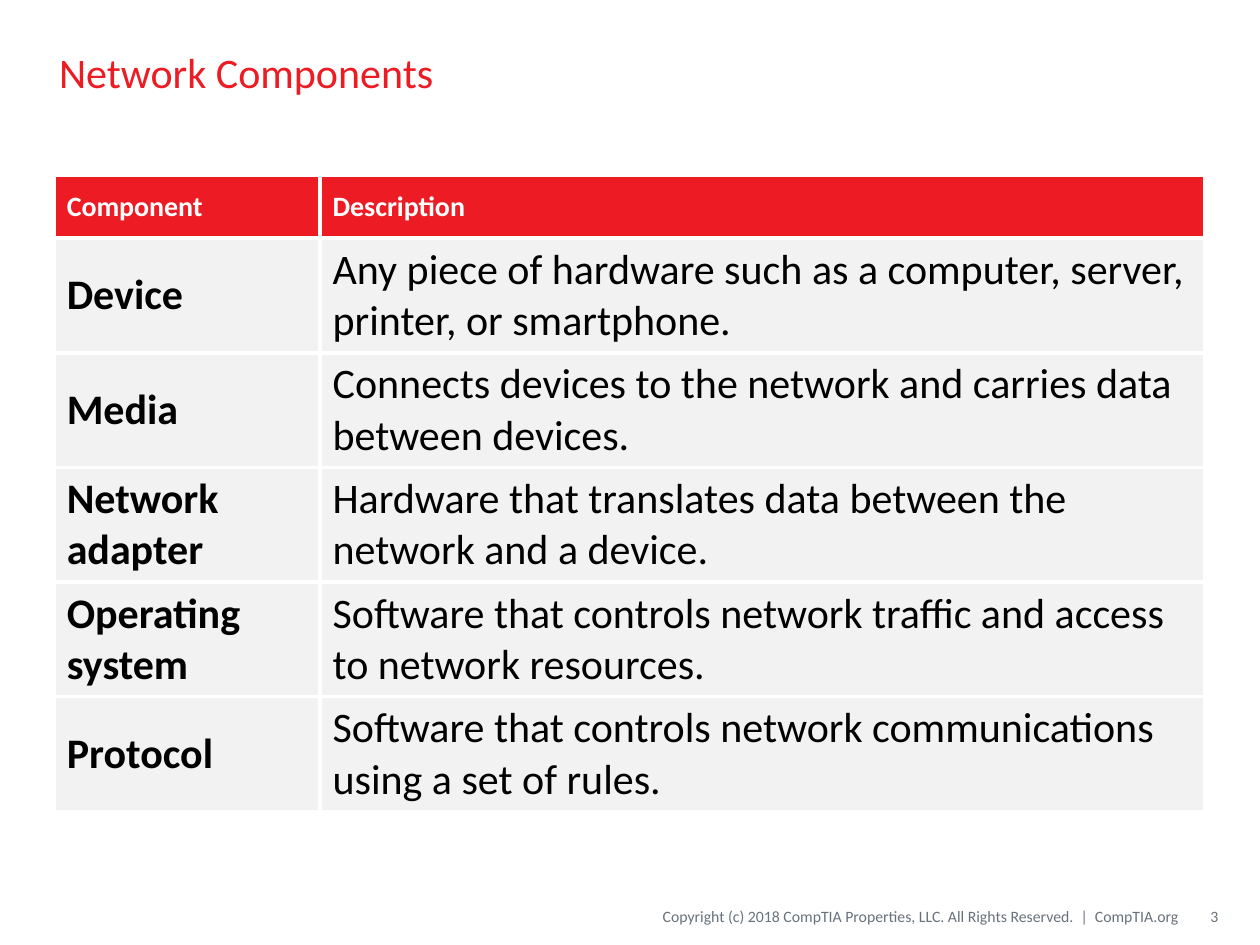
"""Build the Network Components slide with its table of definitions."""
from lxml.etree import SubElement
from pptx import Presentation
from pptx.dml.color import RGBColor
from pptx.enum.text import MSO_ANCHOR as Anchor, PP_ALIGN as Align
from pptx.oxml.ns import qn
from pptx.util import Inches, Pt

RED = RGBColor(0xED, 0x1C, 0x24)
WHITE = RGBColor(0xFF, 0xFF, 0xFF)
BLACK = RGBColor(0x00, 0x00, 0x00)
PALE_GRAY = RGBColor(0xF2, 0xF2, 0xF2)
SLATE = RGBColor(0x69, 0x72, 0x7B)


def style(paragraph, size, color, bold=False):
    paragraph.font.name = "Calibri"
    paragraph.font.size = Pt(size)
    paragraph.font.color.rgb = color
    paragraph.font.bold = bold


def add_border(cell, color, width):
    properties = cell._tc.get_or_add_tcPr()
    for index, side in enumerate(("a:lnL", "a:lnR", "a:lnT", "a:lnB")):
        line = properties.makeelement(qn(side), {"w": str(Pt(width))})
        fill = SubElement(line, qn("a:solidFill"))
        SubElement(fill, qn("a:srgbClr"), val=str(color))
        properties.insert(index, line)


prs = Presentation()
prs.slide_width, prs.slide_height = Inches(10), Inches(7.5)
slide = prs.slides.add_slide(prs.slide_layouts[6])

COPYRIGHT = "Copyright (c) 2018 CompTIA Properties, LLC. All Rights Reserved.  |  CompTIA.org"
labels = [
    (COPYRIGHT, (3.88, 7.12, 5.47, 0.3), 9, SLATE, Align.RIGHT, 0, 0),
    ("Network Components", (0.37, 0.11, 9.25, 0.92), 24, RED, Align.LEFT, 0.1, 0.1),
    ("3", (9.38, 7.12, 0.29, 0.3), 9, SLATE, Align.RIGHT, 0.1, 0),
]
for text, place, size, color, align, left, right in labels:
    frame = slide.shapes.add_textbox(*map(Inches, place)).text_frame
    frame.word_wrap = True
    frame.vertical_anchor = Anchor.MIDDLE
    frame.margin_left, frame.margin_right = Inches(left), Inches(right)
    paragraph = frame.paragraphs[0]
    paragraph.text = text
    paragraph.alignment = align
    style(paragraph, size, color)

components = [
    ("Component", "Description"),
    ("Device", "Any piece of hardware such as a computer, server, printer, or smartphone."),
    ("Media", "Connects devices to the network and carries data between devices."),
    ("Network adapter", "Hardware that translates data between the network and a device."),
    ("Operating system", "Software that controls network traffic and access to network resources."),
    ("Protocol", "Software that controls network communications using a set of rules."),
]
table = slide.shapes.add_table(
    len(components), 2, Inches(0.43), Inches(1.39), Inches(9.13), Inches(5.05)
).table
table.columns[0].width, table.columns[1].width = Inches(2.11), Inches(7.02)

for row, entry in enumerate(components):
    header = row == 0
    table.rows[row].height = Inches(0.5 if header else 0.91)
    for column, text in enumerate(entry):
        cell = table.cell(row, column)
        cell.text = text
        cell.vertical_anchor = Anchor.MIDDLE
        cell.fill.solid()
        cell.fill.fore_color.rgb = RED if header else PALE_GRAY
        style(cell.text_frame.paragraphs[0], 16 if header else 24,
              WHITE if header else BLACK, header or column == 0)
        add_border(cell, WHITE, 2.25)

prs.save("out.pptx")
